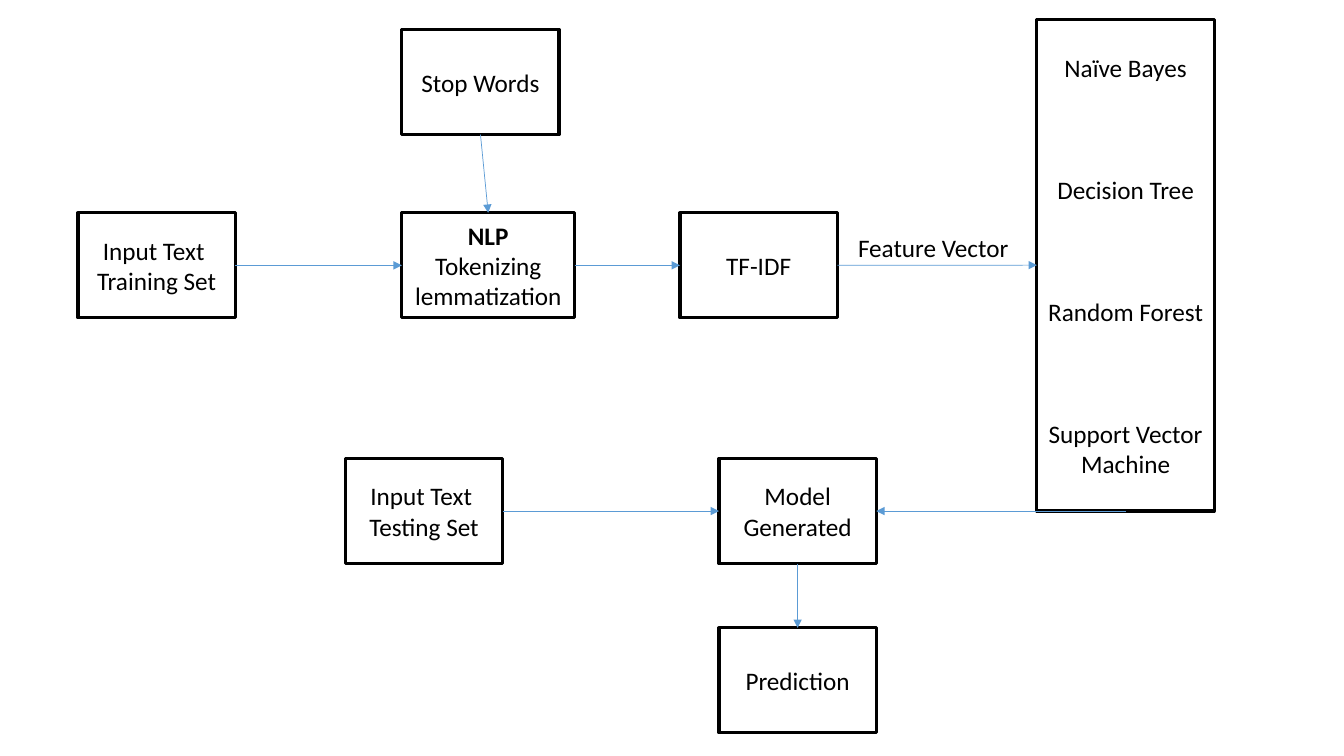
import collections

import lxml.etree
import pptx
import pptx.dml.color
import pptx.enum.shapes
import pptx.enum.text
import pptx.oxml
import pptx.oxml.ns
import pptx.util

SLIDE_WIDTH = pptx.util.Inches(13.33)
SLIDE_HEIGHT = pptx.util.Inches(7.5)
COLUMN = SLIDE_WIDTH / 100
ROW = SLIDE_HEIGHT / 100
BLOCK_WIDTH = 11.7
BLOCK_HEIGHT = 13.9
BLACK = "000000"
BLUE = "5B9BD5"
TOP, LEFT, BOTTOM, RIGHT = range(4)

Box = collections.namedtuple("Box", "left top width height")


def color(value):
    return pptx.dml.color.RGBColor.from_string(value)


def emu(box):
    return (
        round(box.left * COLUMN),
        round(box.top * ROW),
        round(box.width * COLUMN),
        round(box.height * ROW),
    )


def inside(region, left, top, width=BLOCK_WIDTH, height=BLOCK_HEIGHT):
    return Box(region.left + left, region.top + top, width, height)


def write(frame, lines, alignment, gap=0, bold_lines=()):
    frame.word_wrap = True
    for index, line in enumerate(lines):
        para = frame.paragraphs[0] if index == 0 else frame.add_paragraph()
        para.alignment = alignment
        para.space_before = pptx.util.Pt(gap if index else 0)
        span = para.add_run()
        span.text = line
        span.font.name = "Calibri"
        span.font.size = pptx.util.Pt(18)
        span.font.bold = line in bold_lines
        span.font.color.rgb = color(BLACK)


def add_block(page, box, lines, gap=0, bold_lines=()):
    block = page.shapes.add_shape(
        pptx.enum.shapes.MSO_SHAPE.RECTANGLE, *emu(box)
    )
    block.shadow.inherit = False
    block.fill.background()
    block.line.color.rgb = color(BLACK)
    block.line.width = pptx.util.Pt(2.25)
    block.text_frame.vertical_anchor = pptx.enum.text.MSO_ANCHOR.MIDDLE
    write(block.text_frame, lines, pptx.enum.text.PP_ALIGN.CENTER, gap, bold_lines)
    return block


def add_label(page, box, text):
    label = page.shapes.add_textbox(*emu(box))
    write(label.text_frame, [text], pptx.enum.text.PP_ALIGN.LEFT)
    label.text_frame.auto_size = pptx.enum.text.MSO_AUTO_SIZE.SHAPE_TO_FIT_TEXT


def add_arrow(page, source, source_side, target, target_side):
    arrow = page.shapes.add_connector(
        pptx.enum.shapes.MSO_CONNECTOR.STRAIGHT, 0, 0, 0, 0
    )
    arrow.begin_connect(source, source_side)
    arrow.end_connect(target, target_side)
    arrow.line.color.rgb = color(BLUE)
    arrow.line.width = pptx.util.Pt(0.5)
    outline = arrow.line._get_or_add_ln()
    lxml.etree.SubElement(outline, pptx.oxml.ns.qn("a:tailEnd"), type="triangle")
    properties = arrow._element.spPr
    lxml.etree.SubElement(properties, pptx.oxml.ns.qn("a:effectLst"))


def add_training(page, region):
    middle = 25.6
    training_set = add_block(
        page, inside(region, 0, middle), ["Input Text ", "Training Set"]
    )
    language = add_block(
        page,
        inside(region, 24.1, middle, width=12.85),
        ["NLP", "Tokenizing", "lemmatization"],
        bold_lines=["NLP"],
    )
    stop_words = add_block(page, inside(region, 24.1, 1.35), ["Stop Words"])
    classifiers = add_block(
        page,
        inside(region, 71.35, 0, region.width - 71.35, region.height),
        ["Naïve Bayes", "Decision Tree", "Random Forest", "Support Vector Machine"],
        gap=65.5,
    )
    weighting = add_block(page, inside(region, 44.8, middle), ["TF-IDF"])
    add_arrow(page, training_set, RIGHT, language, LEFT)
    add_arrow(page, stop_words, BOTTOM, language, TOP)
    add_arrow(page, language, RIGHT, weighting, LEFT)
    add_arrow(page, weighting, RIGHT, classifiers, LEFT)
    add_label(page, inside(region, 57.3, 27.5, 13.3, 5.35), "Feature Vector")
    return classifiers


def add_testing(page, region, classifiers):
    right = region.width - BLOCK_WIDTH
    bottom = region.height - BLOCK_HEIGHT
    model = add_block(page, inside(region, right, 0), ["Model Generated"])
    testing_set = add_block(
        page, inside(region, 0, 0), ["Input Text ", "Testing Set"]
    )
    prediction = add_block(page, inside(region, right, bottom), ["Prediction"])
    add_arrow(page, classifiers, BOTTOM, model, RIGHT)
    add_arrow(page, testing_set, RIGHT, model, LEFT)
    add_arrow(page, model, BOTTOM, prediction, TOP)


def main():
    deck = pptx.Presentation()
    deck.slide_width = SLIDE_WIDTH
    deck.slide_height = SLIDE_HEIGHT
    page = deck.slides.add_slide(deck.slide_layouts.get_by_name("Blank"))
    classifiers = add_training(page, Box(5.8, 2.55, 84.55, 65.05))
    add_testing(page, Box(25.7, 60.65, 39.5, 36.3), classifiers)
    deck.save("out.pptx")


if __name__ == "__main__":
    main()
